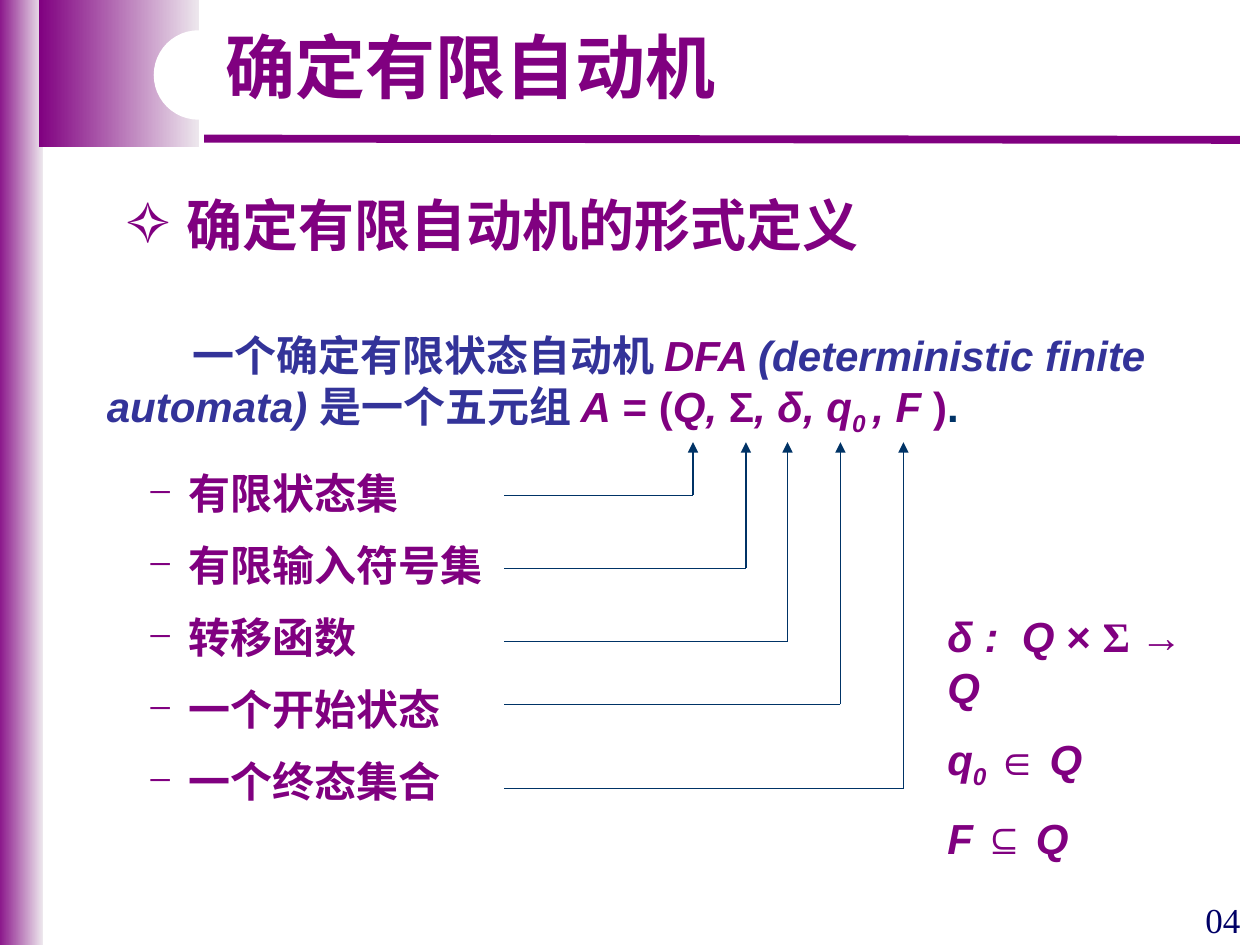
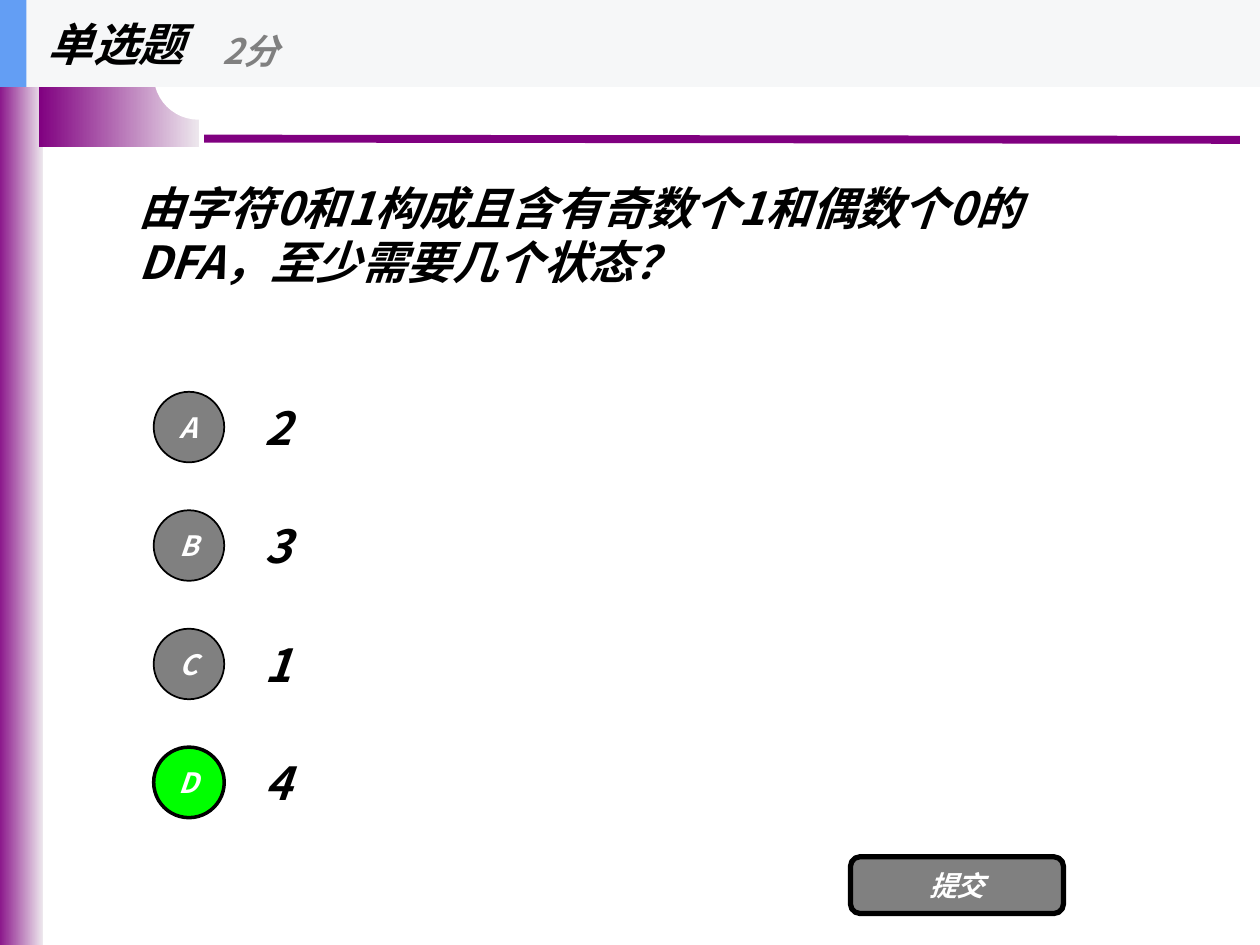
from lxml import etree
from pptx import Presentation
from pptx.dml.color import RGBColor
from pptx.enum import shapes, text
from pptx.oxml import ns
from pptx import util as u

COLORS = {
    "purple": "800080", "mist": "EDE7ED", "indigo": "333399", "navy": "003366",
    "number": "000066", "white": "FFFFFF", "black": "000000", "gray": "808080",
    "green": "00FF00", "banner": "F6F7F8", "blue": "639EF4",
}
CJK, SANS, SERIF = "Noto Sans CJK SC", "Arial", "Times New Roman"
LEFT, CENTER = text.PP_ALIGN.LEFT, text.PP_ALIGN.CENTER
TOP, MIDDLE = text.MSO_ANCHOR.TOP, text.MSO_ANCHOR.MIDDLE
SHAPE = shapes.MSO_SHAPE
ITALIC = {"italic": True}
UPRIGHT = {"italic": False}
SUBSCRIPT = {"italic": True, "baseline": "-25000"}


def rgb(name):
    return RGBColor.from_string(COLORS[name])


def add_child(parent, tag, **attributes):
    return etree.SubElement(parent, ns.qn(tag), attributes)


# Text
def set_font(paragraph, size, color, name=CJK, bold=True, italic=False):
    font = paragraph.font
    font.size, font.name, font.bold, font.italic = u.Pt(size), name, bold, italic
    font.color.rgb = rgb(color)
    properties = paragraph._p.pPr.find(ns.qn("a:defRPr"))
    add_child(properties, "a:ea", typeface=CJK)


def set_bullet(paragraph, character, indent):
    properties = paragraph._p.get_or_add_pPr()
    properties.set("marL", str(u.Inches(indent)))
    properties.set("indent", str(-u.Inches(indent)))
    color = add_child(properties, "a:buClr")
    add_child(color, "a:srgbClr", val=COLORS["purple"])
    add_child(properties, "a:buFont", typeface=SERIF)
    add_child(properties, "a:buChar", char=character)


def add_spans(paragraph, spans):
    """Each span is a text and the settings that differ from its paragraph."""
    for words, style in spans:
        if words == "\n":
            paragraph.add_line_break()
            continue
        span = paragraph.add_run()
        span.text = words
        if "italic" in style:
            span.font.italic = style["italic"]
        if "name" in style:
            span.font.name = style["name"]
        if "color" in style:
            span.font.color.rgb = rgb(style["color"])
        if "baseline" in style:
            span._r.get_or_add_rPr().set("baseline", style["baseline"])


def add_text(page, at, lines, size, color, bullet=None, gap=0, first_indent=0,
             align=LEFT, anchor=TOP, line_spacing=None, **font):
    box = page.shapes.add_textbox(*map(u.Inches, at))
    frame = box.text_frame
    frame.word_wrap = True
    frame.vertical_anchor = anchor
    for index, line in enumerate(lines):
        para = frame.add_paragraph() if index else frame.paragraphs[0]
        para.alignment = align
        if line_spacing:
            para.line_spacing = line_spacing
        if index and gap:
            para.space_before = u.Pt(gap)
        if first_indent and not index:
            para._p.get_or_add_pPr().set("indent", str(u.Inches(first_indent)))
        if bullet:
            set_bullet(para, *bullet)
        set_font(para, size, color, **font)
        add_spans(para, [(line, {})] if isinstance(line, str) else line)
    return box


# Shapes and lines
def add_block(page, kind, at, fill, outline=0, label=None):
    block = page.shapes.add_shape(kind, *map(u.Inches, at))
    block.shadow.inherit = False
    block.fill.solid()
    block.fill.fore_color.rgb = rgb(fill)
    if outline:
        block.line.color.rgb = rgb("black")
        block.line.width = u.Pt(outline)
    else:
        block.line.fill.background()
    if label:
        frame = block.text_frame
        frame.word_wrap = False
        frame.vertical_anchor = MIDDLE
        para = frame.paragraphs[0]
        para.alignment = CENTER
        set_font(para, 16, "white", italic=True)
        add_spans(para, [(label, {})])
    return block


def add_fade(page, at):
    block = add_block(page, SHAPE.RECTANGLE, at, "purple")
    block.fill.gradient()
    block.fill.gradient_angle = 0
    for stop, color in zip(block.fill.gradient_stops, ("purple", "mist")):
        stop.color.rgb = rgb(color)


def add_line(page, start, end, color, width, arrow=False):
    line = page.shapes.add_connector(
        shapes.MSO_CONNECTOR.STRAIGHT, *map(u.Inches, start + end))
    line.line.color.rgb = rgb(color)
    line.line.width = u.Pt(width)
    if arrow:
        add_child(line.line._get_or_add_ln(), "a:tailEnd", type="triangle")
    add_child(line._element.spPr, "a:effectLst")


def add_page(deck):
    """A blank page with the purple bands and the title rule."""
    page = deck.slides.add_slide(deck.slide_layouts[6])
    add_fade(page, (-0.04, 0, 0.38, 7.53))
    add_fade(page, (0.31, 0, 1.27, 1.17))
    add_line(page, (1.62, 1.1), (9.84, 1.11), "purple", 4.5)
    notch = add_block(page, SHAPE.ROUNDED_RECTANGLE, (1.22, 0.24, 3.62, 0.71), "white")
    notch.adjustments[0] = 0.5
    return page


# Pages
def build_definition(deck):
    page = add_page(deck)
    parts = ["有限状态集", "有限输入符号集", "转移函数", "一个开始状态", "一个终态集合"]
    add_text(page, (1.08, 3.66, 3.08, 2.76), parts, 24, "purple",
             bullet=("−", 0.32), gap=12.3)

    indigo = {"color": "indigo"}
    definition = [
        [("一个确定有限状态自动机 ", indigo), ("DFA ", ITALIC),
         ("(deterministic finite", indigo | ITALIC)],
        [("automata) ", indigo | ITALIC), ("是一个五元组 ", indigo), ("A", ITALIC),
         (" = (", {}), ("Q, ", ITALIC), ("Σ", {}), (", δ, q", ITALIC),
         ("0 ", SUBSCRIPT), (", F ", ITALIC), (")", {}), (".", {"color": "navy"})],
    ]
    add_text(page, (0.75, 2.57, 8.9, 0.9), definition, 24, "purple",
             name=SANS, first_indent=0.68)

    # Each part points up to its symbol in the tuple
    for symbol_x, part_y in [(5.5, 3.93), (5.92, 4.51), (6.25, 5.09),
                             (6.67, 5.59), (7.17, 6.26)]:
        corner = (symbol_x, part_y)
        add_line(page, (4, part_y), corner, "navy", 0.75)
        add_line(page, corner, (symbol_x, 3.51), "navy", 0.75, arrow=True)

    serif = UPRIGHT | {"name": SERIF}
    conditions = [
        [("δ :  Q ", {}), ("× ", UPRIGHT), ("Σ ", serif), ("→", UPRIGHT),
         ("\n", {}), ("Q", {})],
        [("q", {}), ("0", SUBSCRIPT), (" ∈ ", serif), ("Q", {})],
        [("F", {}), (" ⊆ ", serif), ("Q", {})],
    ]
    add_text(page, (7.42, 4.8, 2.42, 1.63), conditions, 24, "purple",
             gap=12.3, name=SANS, italic=True)

    add_text(page, (1.61, 0.21, 4.25, 0.7), ["确定有限自动机"], 40, "purple",
             name=SERIF, align=CENTER, line_spacing=0.9)
    add_text(page, (0.9, 1.46, 6.22, 0.63), ["确定有限自动机的形式定义"], 32, "purple",
             bullet=("✧", 0.48))
    add_text(page, (9.41, 7.08, 0.59, 0.44), ["04"], 20, "number",
             name=SERIF, bold=False, align=CENTER)


def build_quiz(deck):
    page = add_page(deck)
    quiz = {"anchor": MIDDLE, "italic": True}
    add_text(page, (1, 0.69, 8, 2.34),
             ["由字符0和1构成且含有奇数个1和偶数个0的DFA，至少需要几个状态？"],
             26, "black", **quiz)

    # Answers, the right one in green
    for row, (letter, answer) in enumerate(zip("ABCD", "2314")):
        top = 3.04 + 0.94 * row
        fill, outline = ("green", 2) if letter == "D" else ("gray", 1)
        add_text(page, (2, top, 7, 0.7), [answer], 26, "black", **quiz)
        add_block(page, SHAPE.OVAL, (1.22, top + 0.07, 0.56, 0.56), fill, outline, letter)
    add_block(page, SHAPE.ROUNDED_RECTANGLE, (6.75, 6.8, 1.69, 0.45), "gray", 3, "提交")

    # Question type banner
    add_block(page, SHAPE.RECTANGLE, (0, 0, 10, 0.69), "banner")
    add_block(page, SHAPE.RECTANGLE, (0, 0, 0.21, 0.69), "blue")
    add_text(page, (0.28, 0, 2.08, 0.69), ["单选题"], 26, "black", **quiz)
    add_text(page, (1.67, 0.12, 2.5, 0.56), ["2分"], 20, "gray", **quiz)


def main():
    deck = Presentation()
    deck.slide_width, deck.slide_height = u.Inches(10), u.Inches(7.5)
    build_definition(deck)
    build_quiz(deck)
    deck.save("out.pptx")


if __name__ == "__main__":
    main()
